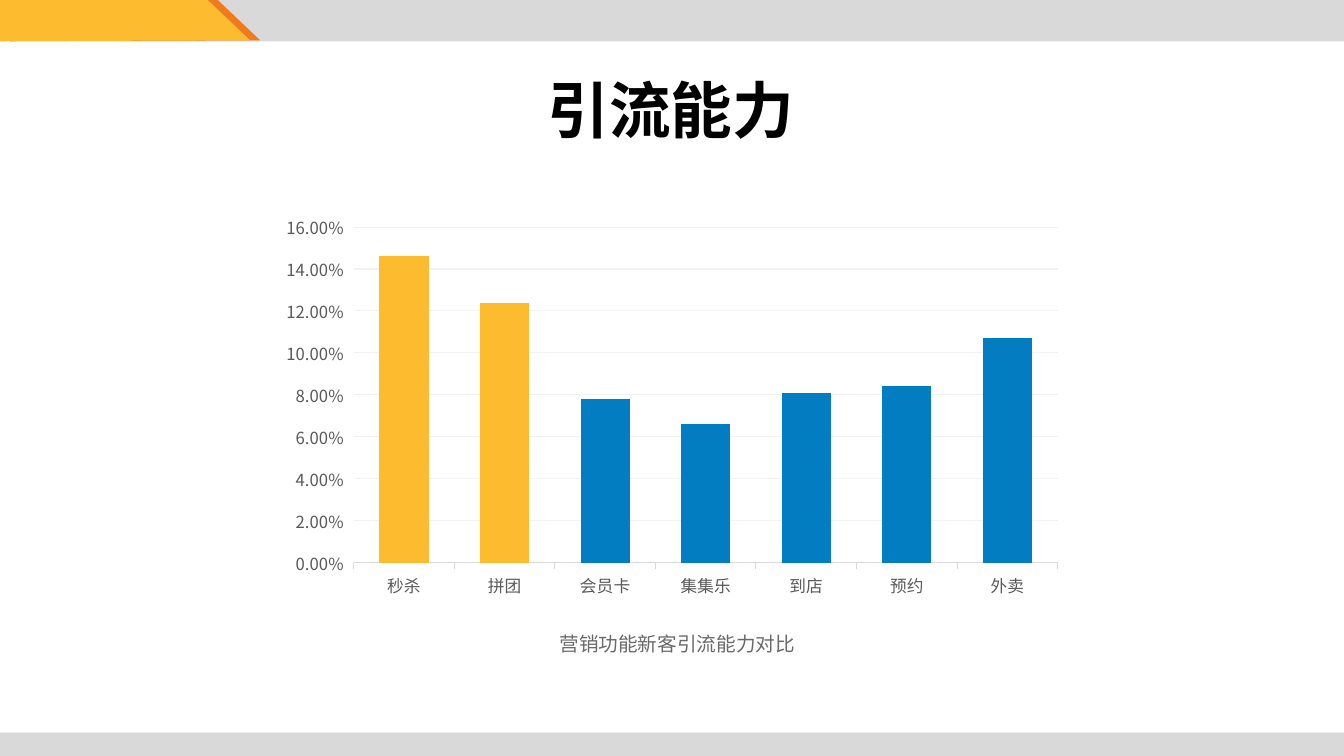
from lxml import etree
from pptx import Presentation
from pptx.chart.data import CategoryChartData
from pptx.dml.color import RGBColor
from pptx.enum.chart import XL_CHART_TYPE as ChartType, XL_TICK_MARK as Tick
from pptx.enum.shapes import MSO_SHAPE as Shape
from pptx.enum.text import MSO_ANCHOR as Anchor, PP_ALIGN as Align
from pptx.oxml import parse_xml
from pptx.oxml.ns import nsdecls, qn
from pptx.util import Pt

TITLE = "引流能力"
CAPTION = "营销功能新客引流能力对比"
NEW_CUSTOMER_RATES = {
    "秒杀": 0.146,
    "拼团": 0.124,
    "会员卡": 0.078,
    "集集乐": 0.066,
    "到店": 0.081,
    "预约": 0.084,
    "外卖": 0.107,
}
HIGHLIGHTED = ("秒杀", "拼团")
COLORS = {
    "band": "D9D9D9", "orange": "F17B1C", "yellow": "FDBB2F",
    "blue": "027DC2", "grid": "F2F2F2", "white": "FFFFFF",
    "title": "000000", "caption": "696969", "axis": "595959",
}
CJK = "Noto Sans CJK SC"
WIDTH, HEIGHT = 960, 540
BANDS = [(56, 0, WIDTH - 56, 29.5), (0, 523.4, WIDTH, 16.6)]
FLAGS = [("orange", 7.2), ("yellow", 0)]
FLAG_OUTLINE = [(0, 29.5), (178.6, 28.8), (147.6, -0.7), (0, -0.7)]
TITLE_BOX = (383.8, 47.5, 192.2, 60.5)
CAPTION_BOX = (391.7, 447.8, 184.3, 24.5)
CHART_BOX = (193, 147.6, 573.8, 285.1)
PLOT_BOX = (252.7, 162.2, 502.9, 239.8)


def rgb(name):
    return RGBColor.from_string(COLORS[name])


def paint(fill, color):
    fill.solid()
    fill.fore_color.rgb = rgb(color)


def style_shape(shape, color):
    paint(shape.fill, color)
    shape.line.fill.background()
    shape.shadow.inherit = False


def style_font(font, size, color, latin=CJK, bold=False):
    font.size = Pt(size)
    font.bold = bold
    font.name = latin
    font.color.rgb = rgb(color)
    etree.SubElement(font._rPr, qn("a:ea")).set("typeface", CJK)


def place(shape, box):
    shape.left, shape.top, shape.width, shape.height = map(Pt, box)


def write(shape, text, align, size, color, **look):
    frame = shape.text_frame
    frame.text = text
    frame.word_wrap = False
    frame.vertical_anchor = Anchor.TOP
    paragraph = frame.paragraphs[0]
    paragraph.alignment = align
    paragraph.line_spacing = 1.0
    style_font(paragraph.runs[0].font, size, color, **look)


def add_chart(slide):
    data = CategoryChartData(number_format="0.00%")
    data.categories = list(NEW_CUSTOMER_RATES)
    data.add_series("Series 1", list(NEW_CUSTOMER_RATES.values()))
    chart = slide.shapes.add_chart(
        ChartType.COLUMN_CLUSTERED, *map(Pt, CHART_BOX), data).chart
    chart.has_legend = False
    chart.has_title = False
    style_font(chart.font, 10, "title")

    plot = chart.plots[0]
    plot.gap_width, plot.overlap = 104, -63
    plot.vary_by_categories = False
    series = plot.series[0]
    paint(series.format.fill, "blue")
    for index, feature in enumerate(NEW_CUSTOMER_RATES):
        if feature in HIGHLIGHTED:
            paint(series.points[index].format.fill, "yellow")

    features, rates = chart.category_axis, chart.value_axis
    for axis in (features, rates):
        axis.major_tick_mark = Tick.OUTSIDE
        axis.minor_tick_mark = Tick.NONE
        style_font(axis.tick_labels.font, 11.9, "axis")
    rates.minimum_scale, rates.maximum_scale, rates.major_unit = 0, 0.16, 0.02
    rates.tick_labels.number_format = "0.00%"
    rates.tick_labels.number_format_is_linked = False
    rates.format.line.fill.background()
    for line, color in ((features.format.line, "band"),
                        (rates.major_gridlines.format.line, "grid")):
        line.color.rgb = rgb(color)
        line.width = Pt(0.75)

    left, top, width, height = CHART_BOX
    x, y, w, h = PLOT_BOX
    fractions = {"x": (x - left) / width, "y": (y - top) / height,
                 "w": w / width, "h": h / height}
    settings = '<c:layoutTarget val="inner"/><c:xMode val="edge"/><c:yMode val="edge"/>'
    settings += "".join(f'<c:{key} val="{value:.4f}"/>' for key, value in fractions.items())
    plot_area = chart._chartSpace.chart.plotArea
    for layout in plot_area.findall(qn("c:layout")):
        plot_area.remove(layout)
    plot_area.insert(0, parse_xml(
        f'<c:layout {nsdecls("c")}><c:manualLayout>{settings}</c:manualLayout></c:layout>'))
    plot_area.append(parse_xml(
        f'<c:spPr {nsdecls("c", "a")}><a:solidFill><a:srgbClr val="{COLORS["white"]}"/>'
        '</a:solidFill></c:spPr>'))


def main():
    deck = Presentation()
    deck.slide_width, deck.slide_height = Pt(WIDTH), Pt(HEIGHT)
    slide = deck.slides.add_slide(deck.slide_layouts[5])
    shapes = slide.shapes

    for band in BANDS:
        style_shape(shapes.add_shape(Shape.RECTANGLE, *map(Pt, band)), "band")
    for color, offset in FLAGS:
        corners = [(Pt(x + offset), Pt(y)) for x, y in FLAG_OUTLINE]
        outline = shapes.build_freeform(*corners[0], scale=1.0)
        outline.add_line_segments(corners[1:], close=True)
        style_shape(outline.convert_to_shape(), color)

    place(shapes.title, TITLE_BOX)
    write(shapes.title, TITLE, Align.LEFT, 44, "title", bold=True)
    caption = shapes.add_textbox(*map(Pt, CAPTION_BOX))
    write(caption, CAPTION, Align.CENTER, 14, "caption", latin="Karla")
    add_chart(slide)
    deck.save("out.pptx")


if __name__ == "__main__":
    main()
